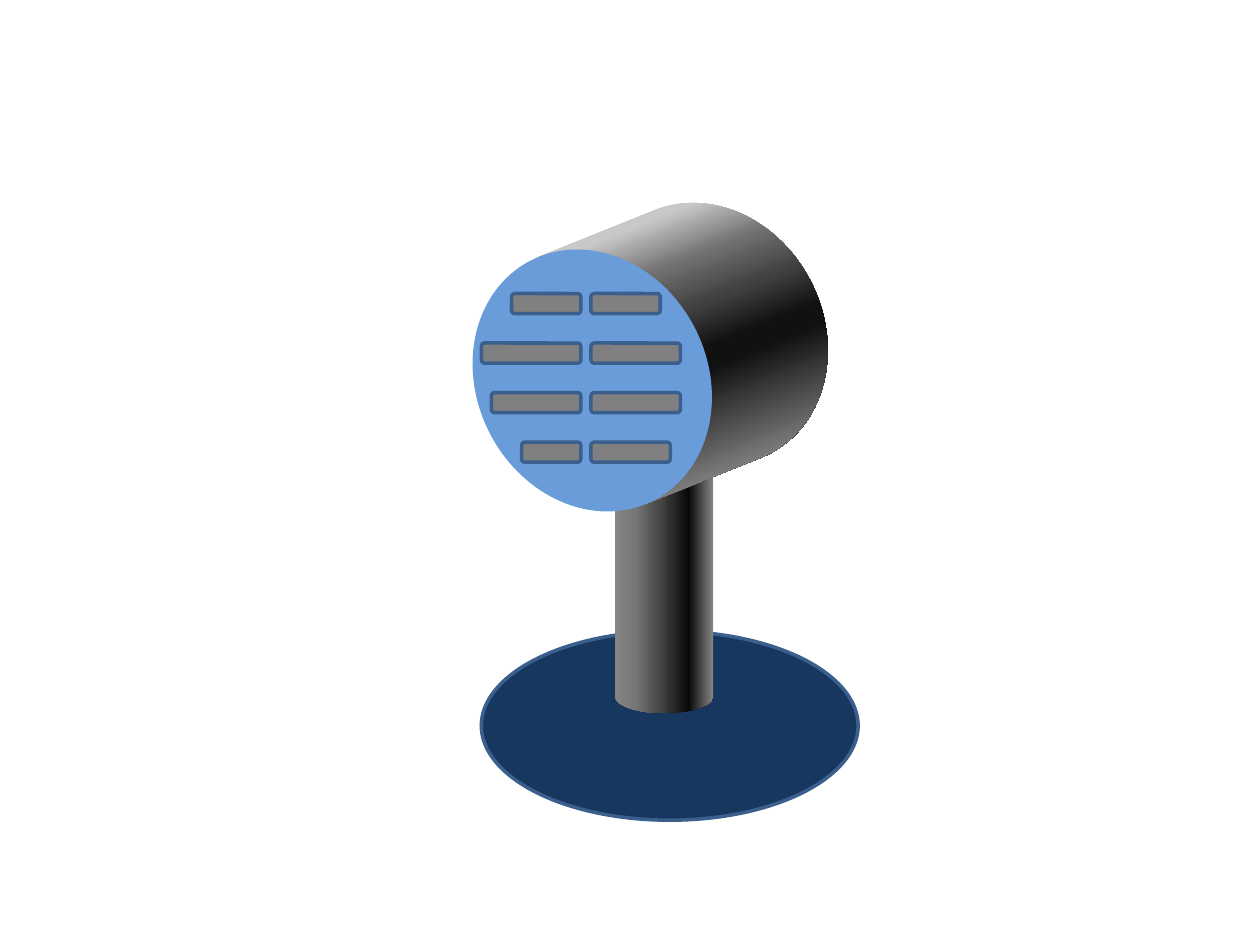
from math import atan2, cos, pi, radians, sin

from lxml.etree import SubElement
from pptx import Presentation
from pptx.dml.color import RGBColor
from pptx.enum.shapes import MSO_SHAPE
from pptx.oxml.ns import qn
from pptx.util import Inches, Pt

COLORS = {"base": "17375E", "edge": "3A5F8C", "face": "6A9CDA", "slot": "808080"}

deck = Presentation()
deck.slide_width, deck.slide_height = Inches(10), Inches(7.5)
slide = deck.slides.add_slide(deck.slide_layouts[6])
shapes = slide.shapes


def add_solid(kind, box, fill, edge=True):
    """Add a preset shape in one flat colour, with or without an outline."""
    shape = shapes.add_shape(kind, *[Inches(v) for v in box])
    shape.shadow.inherit = False
    shape.fill.solid()
    shape.fill.fore_color.rgb = RGBColor.from_string(COLORS[fill])
    if edge:
        shape.line.color.rgb = RGBColor.from_string(COLORS["edge"])
        shape.line.width = Pt(2)
    else:
        shape.line.fill.background()
    return shape


def add_metal(points, angle, stops):
    """Add an outline shaded by (percent, colour) stops, angle clockwise."""
    points = [(Inches(x), Inches(y)) for x, y in points]
    build = shapes.build_freeform(*points[0])
    build.add_line_segments(points[1:], close=True)
    shape = build.convert_to_shape()
    shape.shadow.inherit = False
    shape.line.fill.background()
    shape.fill.gradient()
    shape.fill.gradient_angle = (360 - angle) % 360
    row = shape._element.spPr.find(qn("a:gradFill")).find(qn("a:gsLst"))
    for stop in list(row):
        row.remove(stop)
    for place, color in stops:
        stop = SubElement(row, qn("a:gs"), pos=str(place * 1000))
        SubElement(stop, qn("a:srgbClr"), val=color)


# Round base
add_solid(MSO_SHAPE.OVAL, (3.82, 5.01, 2.99, 1.5), "base")

# Post: straight sides and a curved foot
mid, half, foot = 5.27, 0.39, 5.53
post = [(mid - half, 3.5), (mid + half, 3.5)]
for step in range(37):
    turn = pi * step / 36
    post.append((mid + half * cos(turn), foot + 0.13 * sin(turn)))
add_metal(post, 0, [(0, "858585"), (20, "777777"), (45, "484848"),
                    (75, "080808"), (100, "858585")])

# Drum: a tilted ellipse swept backwards between its two tangents
left, top = 4.7, 3.02
wide, high, tilt = 2.14, 1.83, 62.7
back_x, back_y = 0.92, -0.37
ux, uy = cos(radians(tilt)), sin(radians(tilt))
first = atan2(high * (-uy * back_y - ux * back_x),
              wide * (ux * back_y - uy * back_x))
rim = []
for step in range(73):
    turn = first + pi * step / 72
    along, across = wide / 2 * cos(turn), high / 2 * sin(turn)
    rim.append((left + along * ux - across * uy, top + along * uy + across * ux))
drum = [(x + back_x, y + back_y) for x, y in rim] + [rim[-1], rim[0]]
add_metal(drum, 68, [(0, "D0D0D0"), (15, "C8C8C8"), (28, "707070"),
                     (40, "404040"), (51, "111111"), (56, "111111"),
                     (85, "858585"), (100, "858585")])
face = add_solid(MSO_SHAPE.OVAL,
                 (left - wide / 2, top - high / 2, wide, high), "face", edge=False)
face.rotation = tilt

# Vent slots: two columns that meet at a narrow gap
ROWS = [(0.55, 0.55), (0.79, 0.71), (0.71, 0.71), (0.47, 0.63)]
for row, (west, east) in enumerate(ROWS):
    y = 2.33 + row * 0.393
    for x, width in ((4.61 - west, west), (4.69, east)):
        add_solid(MSO_SHAPE.ROUNDED_RECTANGLE, (x, y, width, 0.16), "slot")

deck.save("out.pptx")
